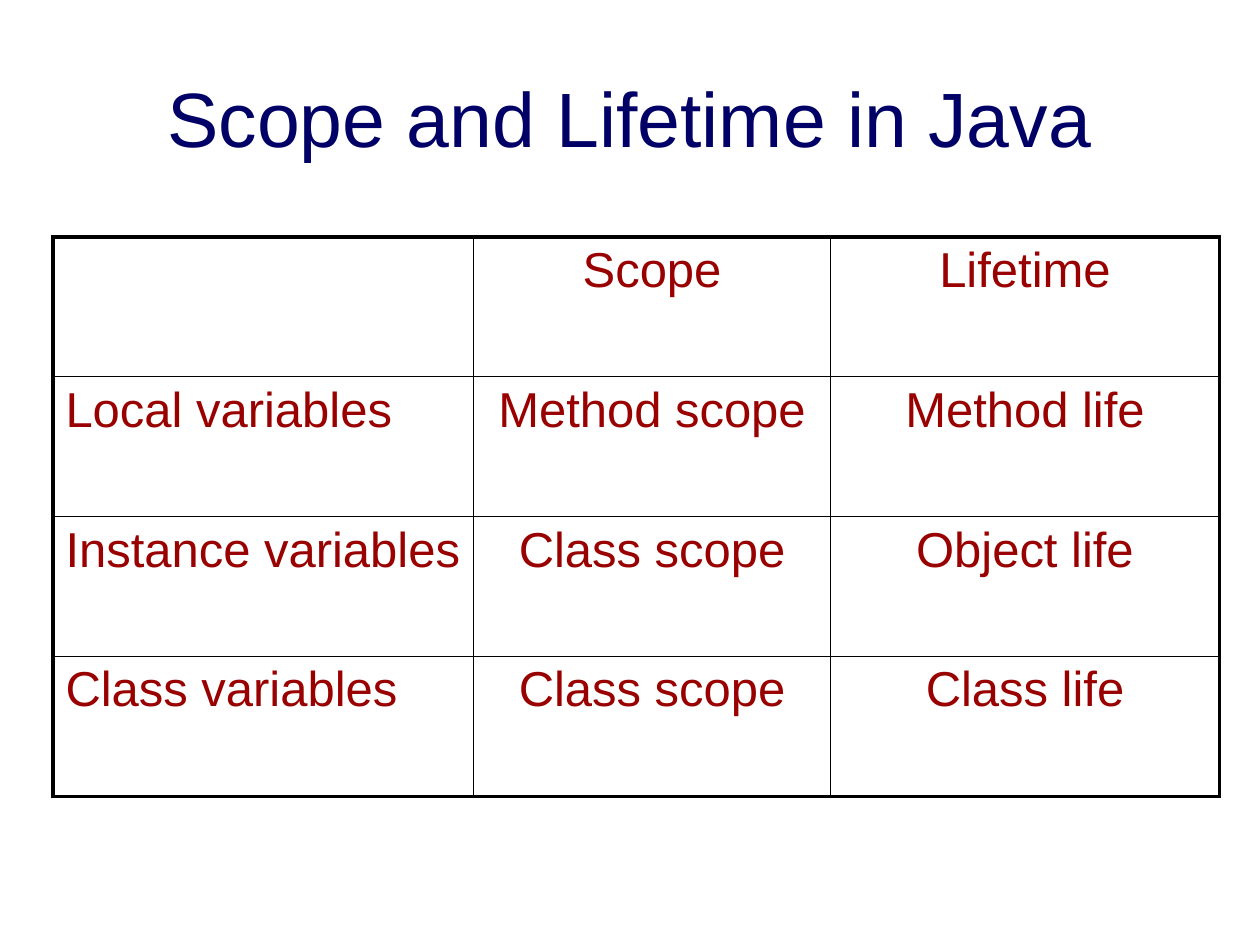
from dataclasses import dataclass

import pptx
import pptx.dml.color
import pptx.enum.text
import pptx.oxml
import pptx.oxml.ns
import pptx.util
from pptx.dml.color import RGBColor
from pptx.util import Inches

NAVY = RGBColor(0x00, 0x00, 0x66)
DARK_RED = RGBColor(0x99, 0x00, 0x00)
BLACK = RGBColor(0x00, 0x00, 0x00)

FONT = "Arial"
OUTER_WIDTH = pptx.util.Pt(2.25)
INNER_WIDTH = pptx.util.Pt(1)
COLUMN_WIDTHS = (3.34, 2.83, 3.09)
ROW_HEIGHT = 1.11
CENTER = pptx.enum.text.PP_ALIGN.CENTER
LEFT = pptx.enum.text.PP_ALIGN.LEFT


@dataclass(frozen=True)
class VariableKind:
    name: str
    scope: str
    lifetime: str

    def entries(self) -> tuple[str, str, str]:
        return self.name, self.scope, self.lifetime


ROWS = (
    VariableKind("", "Scope", "Lifetime"),
    VariableKind("Local variables", "Method scope", "Method life"),
    VariableKind("Instance variables", "Class scope", "Object life"),
    VariableKind("Class variables", "Class scope", "Class life"),
)


def write(paragraph, text: str, size: float, color: RGBColor, alignment) -> None:
    paragraph.text = text
    paragraph.alignment = alignment
    paragraph.font.name = FONT
    paragraph.font.size = pptx.util.Pt(size)
    paragraph.font.color.rgb = color


def add_borders(cell, row: int, column: int) -> None:
    """Draw thick lines on the table's edge and thin lines inside it."""
    on_edge = {
        "L": column == 0,
        "R": column == len(COLUMN_WIDTHS) - 1,
        "T": row == 0,
        "B": row == len(ROWS) - 1,
    }
    properties = cell._tc.get_or_add_tcPr()
    for position, (side, outer) in enumerate(on_edge.items()):
        width = OUTER_WIDTH if outer else INNER_WIDTH
        line = pptx.oxml.parse_xml(
            f'<a:ln{side} {pptx.oxml.ns.nsdecls("a")} w="{int(width)}">'
            f'<a:solidFill><a:srgbClr val="{BLACK}"/></a:solidFill>'
            f'<a:prstDash val="solid"/></a:ln{side}>'
        )
        properties.insert(position, line)


def add_title(slide, text: str) -> None:
    title = slide.shapes.add_textbox(Inches(0.5), Inches(0.3), Inches(9), Inches(1.25))
    title.text_frame.word_wrap = True
    title.text_frame.vertical_anchor = pptx.enum.text.MSO_ANCHOR.MIDDLE
    write(title.text_frame.paragraphs[0], text, 44, NAVY, CENTER)


def add_variable_table(slide) -> None:
    frame = slide.shapes.add_table(
        len(ROWS), len(COLUMN_WIDTHS), Inches(0.42), Inches(1.88),
        Inches(sum(COLUMN_WIDTHS)), Inches(ROW_HEIGHT * len(ROWS)),
    )
    table = frame.table
    table.first_row = False
    table.horz_banding = False
    for column, width in zip(table.columns, COLUMN_WIDTHS):
        column.width = Inches(width)
    for row, kind in enumerate(ROWS):
        table.rows[row].height = Inches(ROW_HEIGHT)
        for column, entry in enumerate(kind.entries()):
            cell = table.cell(row, column)
            cell.fill.background()
            add_borders(cell, row, column)
            alignment = CENTER if column else LEFT
            write(cell.text_frame.paragraphs[0], entry, 28, DARK_RED, alignment)


def main() -> None:
    presentation = pptx.Presentation()
    presentation.slide_width = Inches(10)
    presentation.slide_height = Inches(7.5)
    slide = presentation.slides.add_slide(presentation.slide_layouts[6])

    # Heading
    add_title(slide, "Scope and Lifetime in Java")

    # Scope and lifetime of each kind of variable
    add_variable_table(slide)

    presentation.save("out.pptx")


if __name__ == "__main__":
    main()
